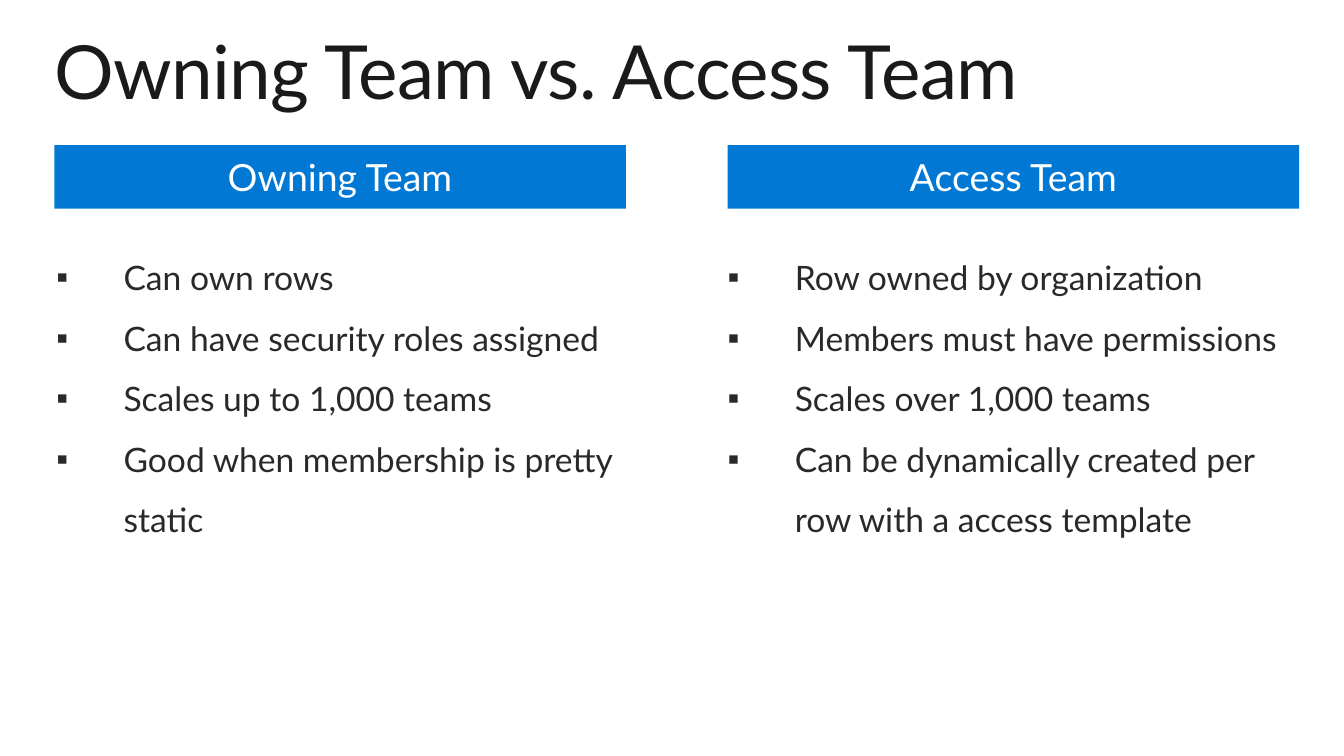
from lxml import etree
from pptx import Presentation
from pptx.dml.color import RGBColor
from pptx.enum import shapes, text
from pptx.oxml import ns
from pptx.util import Pt

BLUE = RGBColor(0x00, 0x78, 0xD4)
WHITE = RGBColor(0xFF, 0xFF, 0xFF)
TITLE_INK = RGBColor(0x1A, 0x1A, 0x1A)
BODY_INK = RGBColor(0x29, 0x29, 0x29)

LEFT, RIGHT = 38.9, 519.8
COLUMN_WIDTH = 408.2
LIST_INDENT = 48

TEAMS = [
    ("Access Team", RIGHT, RIGHT, 218.2, [
        "Row owned by organization",
        "Members must have permissions",
        "Scales over 1,000 teams",
        "Can be dynamically created per row with a access template",
    ]),
    ("Owning Team", LEFT, 40.3, 262, [
        "Can own rows",
        "Can have security roles assigned",
        "Scales up to 1,000 teams",
        "Good when membership is pretty static",
    ]),
]


def apply(target, values):
    """Set every attribute named in values on target."""
    for name, value in values.items():
        setattr(target, name, value)


class ComparisonSlide:
    """Holds the text style and the slide being built."""

    font_name = "Lato"

    def __init__(self, deck):
        """Add a title-only slide to the deck."""
        self.slide = deck.slides.add_slide(deck.slide_layouts[5])

    def frame(self, holder, side=0, edge=0, **values):
        """Set margins, wrapping and other frame values; return the frame."""
        frame = holder.text_frame
        apply(frame, dict(margin_left=Pt(side), margin_right=Pt(side),
                          margin_top=Pt(edge), margin_bottom=Pt(edge),
                          word_wrap=True, **values))
        return frame

    def styled_run(self, paragraph, wording, size, ink, **values):
        """Put one styled run into a paragraph and return the run."""
        apply(paragraph, values)
        run = paragraph.add_run()
        run.text = wording
        apply(run.font, {"name": self.font_name, "size": Pt(size)})
        run.font.color.rgb = ink
        return run

    def title(self, wording, left, top, width, height):
        """Place and format the title placeholder."""
        heading = self.slide.shapes.title
        apply(heading, {"left": Pt(left), "top": Pt(top),
                        "width": Pt(width), "height": Pt(height)})
        frame = self.frame(heading, vertical_anchor=text.MSO_ANCHOR.TOP,
                           auto_size=text.MSO_AUTO_SIZE.SHAPE_TO_FIT_TEXT)
        run = self.styled_run(frame.paragraphs[0], wording, 53.3, TITLE_INK,
                              alignment=text.PP_ALIGN.LEFT)
        run.font._element.set("spc", "-50")

    def banner(self, wording, left, top, width, height):
        """Draw a filled column heading."""
        bar = self.slide.shapes.add_shape(
            shapes.MSO_SHAPE.RECTANGLE, Pt(left), Pt(top), Pt(width), Pt(height))
        bar.shadow.inherit = False
        bar.fill.solid()
        bar.fill.fore_color.rgb = BLUE
        bar.line.fill.background()
        frame = self.frame(bar, side=9.4, edge=5,
                           vertical_anchor=text.MSO_ANCHOR.MIDDLE)
        self.styled_run(frame.paragraphs[0], wording, 26.7, WHITE,
                        alignment=text.PP_ALIGN.CENTER)

    def bullets(self, points, left, top, width, height):
        """Add a bulleted list with a hanging indent."""
        box = self.slide.shapes.add_textbox(
            Pt(left), Pt(top), Pt(width), Pt(height))
        frame = self.frame(box, auto_size=text.MSO_AUTO_SIZE.SHAPE_TO_FIT_TEXT)
        for index, point in enumerate(points):
            paragraph = frame.add_paragraph() if index else frame.paragraphs[0]
            self.styled_run(paragraph, point, 24, BODY_INK, line_spacing=1.5)
            properties = paragraph._p.get_or_add_pPr()
            properties.set("marL", str(Pt(LIST_INDENT)))
            properties.set("indent", str(-Pt(LIST_INDENT)))
            etree.SubElement(properties, ns.qn("a:buFont"), typeface="Arial")
            etree.SubElement(properties, ns.qn("a:buChar"), char="▪")


def main():
    """Build the team comparison and save it."""
    deck = Presentation()
    apply(deck, {"slide_width": Pt(960), "slide_height": Pt(540)})
    comparison = ComparisonSlide(deck)
    comparison.title("Owning Team vs. Access Team", LEFT, 18, 889.2, 64.8)
    for team, banner_left, _, _, _ in TEAMS:
        comparison.banner(team, banner_left, 103.7, COLUMN_WIDTH, 45.4)
    for _, _, list_left, list_height, traits in TEAMS:
        comparison.bullets(traits, list_left, 169.2, COLUMN_WIDTH, list_height)
    deck.save("out.pptx")


main()
